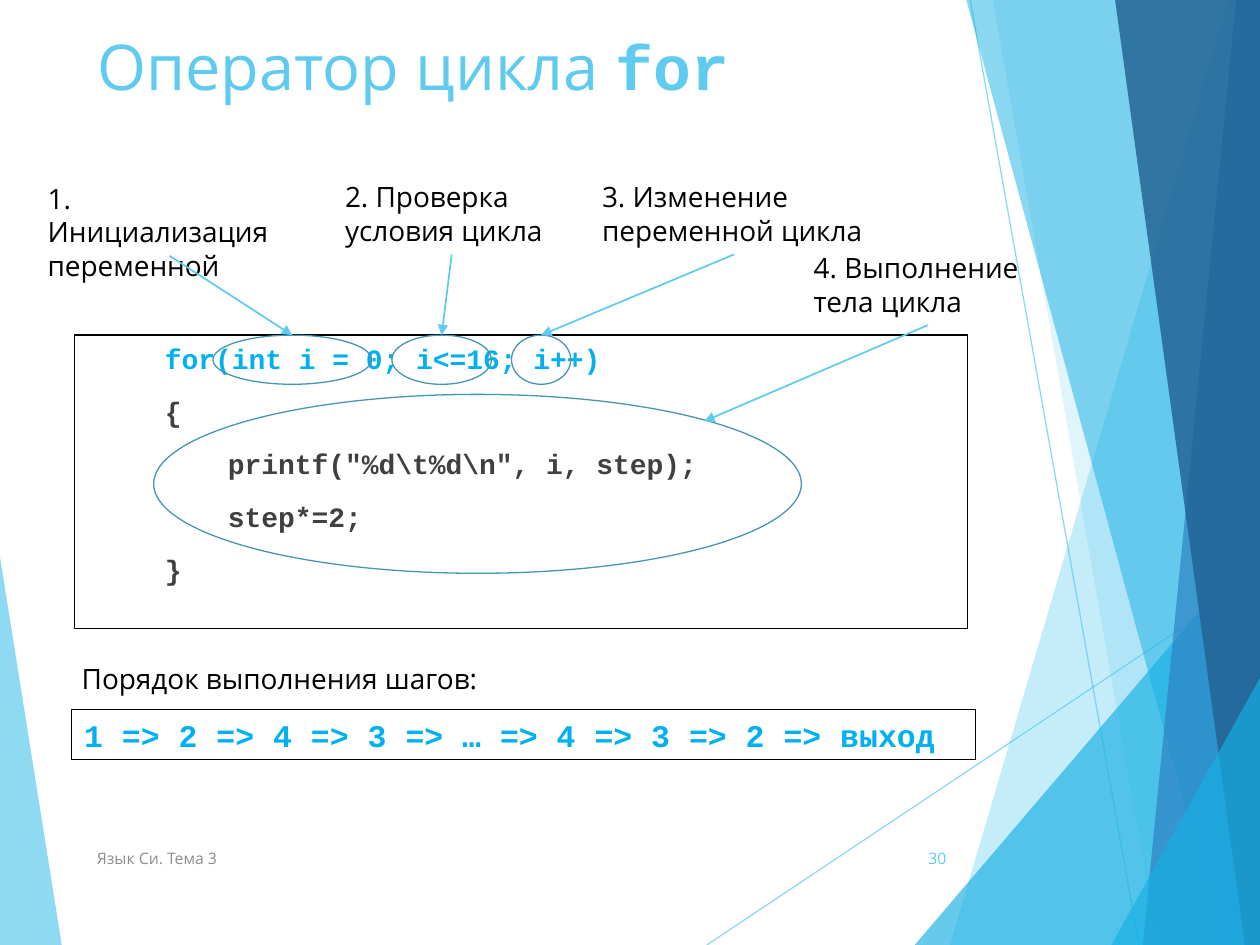
from lxml.etree import SubElement
from pptx import Presentation
from pptx.dml.color import RGBColor
from pptx.enum.shapes import MSO_CONNECTOR, MSO_SHAPE
from pptx.enum.text import MSO_ANCHOR, MSO_AUTO_SIZE, PP_ALIGN
from pptx.oxml.ns import qn
from pptx.util import Inches, Pt

WIDTH, HEIGHT = 10, 7.5
SKY = RGBColor(0x5F, 0xCB, 0xEF)
CYAN = RGBColor(0x17, 0xB0, 0xE4)
BLUE = RGBColor(0x2E, 0x83, 0xC3)
NAVY = RGBColor(0x22, 0x62, 0x92)
CODE_BLUE = RGBColor(0x00, 0xB0, 0xF0)
RING = RGBColor(0x46, 0x96, 0xB1)
DARK = RGBColor(0x40, 0x40, 0x40)
GREY = RGBColor(0x8C, 0x8C, 0x8C)
BLACK = RGBColor(0, 0, 0)

BODY = {"name": "Open Sans", "size": Pt(16), "bold": False, "color": BLACK}
TITLE = BODY | {"size": Pt(36), "color": SKY}
FOOTER = BODY | {"size": Pt(9), "color": GREY}
CODE = {"name": "Courier New", "size": Pt(16), "bold": True, "color": DARK}


def inches(values):
    """Turn a sequence of numbers into lengths."""
    return [Inches(value) for value in values]


def set_opacity(owner, percent):
    """Set the opacity of the solid colour inside an element."""
    color = owner.find(".//" + qn("a:srgbClr"))
    SubElement(color, qn("a:alpha")).set("val", str(percent * 1000))


def add_span(para, text, style):
    """Add one formatted run to a paragraph."""
    span = para.add_run()
    span.text = text
    for key, value in style.items():
        if key == "color":
            span.font.color.rgb = value
        else:
            setattr(span.font, key, value)


def add_text(page, box, text, style, align=PP_ALIGN.LEFT, anchor=MSO_ANCHOR.TOP):
    """Add a wrapped text box with one paragraph."""
    label = page.shapes.add_textbox(*inches(box))
    frame = label.text_frame
    frame.word_wrap = True
    frame.vertical_anchor = anchor
    frame.paragraphs[0].alignment = align
    add_span(frame.paragraphs[0], text, style)
    return label


def add_outline(page, kind, box, color):
    """Add an unfilled shape with a thin outline."""
    shape = page.shapes.add_shape(kind, *inches(box))
    shape.shadow.inherit = False
    shape.fill.background()
    shape.line.color.rgb = color
    shape.line.width = Pt(0.75)
    return shape


def add_line(page, start, end, width, opacity=100, arrow=False):
    """Add a straight sky-blue line, with an arrowhead if asked."""
    line = page.shapes.add_connector(MSO_CONNECTOR.STRAIGHT, *inches(start + end))
    line.line.color.rgb = SKY
    line.line.width = Pt(width)
    properties = line.line._get_or_add_ln()
    if opacity < 100:
        set_opacity(properties, opacity)
    if arrow:
        SubElement(properties, qn("a:tailEnd")).set("type", "triangle")
    SubElement(line._element.spPr, qn("a:effectLst"))


def add_facet(page, points, color, opacity):
    """Add a translucent polygon of the backdrop."""
    builder = page.shapes.build_freeform(*inches(points[0]), scale=1.0)
    builder.add_line_segments([inches(point) for point in points[1:]], close=True)
    facet = builder.convert_to_shape()
    facet.shadow.inherit = False
    facet.fill.solid()
    facet.fill.fore_color.rgb = color
    facet.line.fill.background()
    set_opacity(facet._element.spPr, opacity)


def draw_backdrop(page):
    """Draw the left wedge, two thin lines and the facets at the right edge."""
    add_facet(page, [(0, 4.42), (0.49, HEIGHT), (0, HEIGHT)], SKY, 70)
    add_line(page, (5.61, HEIGHT), (WIDTH, 4.57), 0.75, 70)
    add_line(page, (7.7, 0), (9.04, HEIGHT), 0.75, 70)
    # Each facet: x at the top, x at the bottom, colour, opacity
    bands = [(9.75, 7.54, SKY, 36), (7.88, 9.19, SKY, 20), None,
             (7.67, 9.7, CYAN, 50), (9.81, 9.07, BLUE, 70), (8.85, 9.88, NAVY, 82)]
    corners = [(7.26, 4.29), (8.82, 5.38)]

    def draw_corner(left, top):
        add_facet(page, [(left, HEIGHT), (WIDTH, top), (WIDTH, HEIGHT)], CYAN, 66)

    for band in bands:
        if band is None:
            draw_corner(*corners[0])
            continue
        top, bottom, color, opacity = band
        add_facet(page, [(top, 0), (bottom, HEIGHT), (WIDTH, HEIGHT), (WIDTH, 0)],
                  color, opacity)
    draw_corner(*corners[1])


def draw_title(page, box):
    """Place the title and set its keyword in the code font."""
    title = page.shapes.title
    title.left, title.top, title.width, title.height = inches(box)
    frame = title.text_frame
    frame.auto_size = MSO_AUTO_SIZE.NONE
    frame.vertical_anchor = MSO_ANCHOR.TOP
    para = frame.paragraphs[0]
    para.alignment = PP_ALIGN.LEFT
    add_span(para, "Оператор цикла ", TITLE)
    add_span(para, "for", TITLE | {"name": "Courier New", "bold": True})


def draw_code(page, box):
    """Draw the framed listing, indented by level."""
    add_outline(page, MSO_SHAPE.RECTANGLE, box, BLACK)
    lines = [(1, "for(int i = 0; i<=16; i++)", CODE_BLUE), (1, "{", DARK),
             (2, 'printf("%d\\t%d\\n", i, step);', DARK),
             (2, "step*=2;", DARK), (1, "}", DARK)]
    listing = page.shapes.add_textbox(*inches(box))
    frame = listing.text_frame
    frame.word_wrap = True
    for number, (level, text, color) in enumerate(lines):
        para = frame.add_paragraph() if number else frame.paragraphs[0]
        para.space_before = Pt(11 if number else 0)
        para._p.get_or_add_pPr().set("marL", str(Inches(0.12 + 0.5 * level)))
        add_span(para, text, CODE | {"color": color})


def draw_step(page, text, label, ring, target):
    """Draw a step label, the ring round its code and the arrow between them."""
    add_outline(page, MSO_SHAPE.OVAL, ring, RING)
    add_text(page, label, text, BODY)
    left, top, width, height = label
    start = (left + width / 2, top + height)
    end = (ring[0] + ring[2] * target[0], ring[1] + ring[3] * target[1])
    add_line(page, start, end, 1, arrow=True)


def draw_order(page, box):
    """Draw the caption and the framed order of the steps."""
    left, top, width, height = box
    add_text(page, (left, top, 6.69, 0.37), "Порядок выполнения шагов:", BODY)
    frame_box = (left + 0.02, top + 0.43, width, height - 0.43)
    add_outline(page, MSO_SHAPE.RECTANGLE, frame_box, BLACK)
    add_text(page, frame_box, "1 => 2 => 4 => 3 => … => 4 => 3 => 2 => выход",
             CODE | {"size": Pt(18), "color": CODE_BLUE})


def draw_footer(page, top, height):
    """Draw the course name and the page number."""
    add_text(page, (0.67, top, 5.06, height), "Язык Си. Тема 3", FOOTER,
             anchor=MSO_ANCHOR.MIDDLE)
    add_text(page, (7.05, top, 0.56, height), "30", FOOTER | {"color": SKY},
             PP_ALIGN.RIGHT, MSO_ANCHOR.MIDDLE)


deck = Presentation()
deck.slide_width, deck.slide_height = inches((WIDTH, HEIGHT))
page = deck.slides.add_slide(deck.slide_layouts[5])
draw_backdrop(page)
draw_title(page, (0.67, 0.17, 6.94, 1.44))
draw_code(page, (0.59, 2.66, 7.09, 2.33))
draw_footer(page, 6.61, 0.4)

TOP_CENTRE, UPPER_RIGHT = (0.5, 0), (0.85, 0.15)
STEPS = [
    ("1. Инициализация переменной", (0.28, 1.39, 2.13, 0.64),
     (1.69, 2.66, 1.26, 0.39), TOP_CENTRE),
    ("2. Проверка условия цикла", (2.64, 1.38, 1.89, 0.64),
     (3.11, 2.66, 0.79, 0.39), TOP_CENTRE),
    ("3. Изменение переменной цикла", (4.68, 1.38, 2.29, 0.64),
     (4.06, 2.66, 0.47, 0.39), TOP_CENTRE),
    ("4. Выполнение тела цикла", (6.36, 1.94, 2.01, 0.64),
     (1.22, 3.13, 5.14, 1.42), UPPER_RIGHT),
]
for step in STEPS:
    draw_step(page, *step)
draw_order(page, (0.55, 5.2, 7.17, 0.83))
deck.save("out.pptx")
